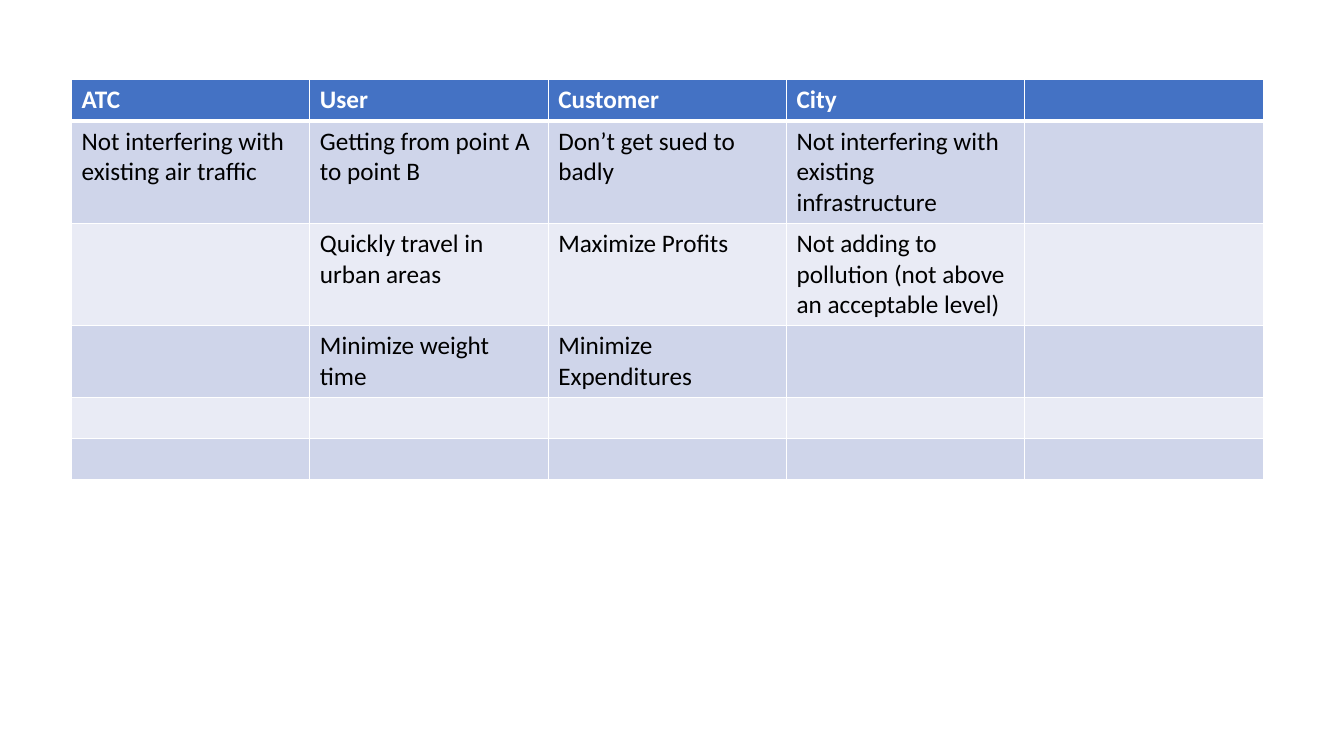
from lxml import etree
from pptx import Presentation
from pptx.dml.color import RGBColor
from pptx.oxml.ns import qn
from pptx.util import Inches, Pt

THEME = {
    "font": "Calibri",
    "size": Pt(18),
    "header_fill": "4472C4",
    "band_fills": ("CFD5EA", "E9EBF5"),
    "header_text": "FFFFFF",
    "body_text": "000000",
    "border": "FFFFFF",
}
BLANK_LAYOUT = 6

STAKEHOLDER_NEEDS = [
    ["ATC", "User", "Customer", "City", ""],
    ["Not interfering with existing air traffic", "Getting from point A to point B ",
     "Don’t get sued to badly", "Not interfering with existing infrastructure", ""],
    ["", "Quickly travel in urban areas", "Maximize Profits",
     "Not adding to pollution (not above an acceptable level)", ""],
    ["", "Minimize weight time", "Minimize Expenditures", "", ""],
    [""] * 5,
    [""] * 5,
]


def set_borders(cell, widths):
    """Draw the cell's edges, given as side letter and width in points."""
    properties = cell._tc.get_or_add_tcPr()
    for position, (side, width) in enumerate(widths.items()):
        line = etree.Element(qn(f"a:ln{side}"), w=str(Pt(width)))
        fill = etree.SubElement(line, qn("a:solidFill"))
        etree.SubElement(fill, qn("a:srgbClr"), val=THEME["border"])
        properties.insert(position, line)


# Slide
presentation = Presentation()
presentation.slide_width = Inches(13.33)
presentation.slide_height = Inches(7.5)
slide = presentation.slides.add_slide(presentation.slide_layouts[BLANK_LAYOUT])

# Table grid
row_count, column_count = len(STAKEHOLDER_NEEDS), len(STAKEHOLDER_NEEDS[0])
table_shape = slide.shapes.add_table(
    row_count, column_count, Inches(0.71), Inches(0.79), Inches(11.82), Inches(3.92))
table = table_shape.table
for row in table.rows:
    row.height = Inches(0.41)
table_shape.height = Inches(3.92)

# Cell text, fills and borders
for row_index, needs in enumerate(STAKEHOLDER_NEEDS):
    is_header = row_index == 0
    fill_color = THEME["header_fill"] if is_header else THEME["band_fills"][(row_index - 1) % 2]
    text_color = THEME["header_text"] if is_header else THEME["body_text"]
    for column_index, need in enumerate(needs):
        cell = table.cell(row_index, column_index)
        cell.fill.solid()
        cell.fill.fore_color.rgb = RGBColor.from_string(fill_color)
        set_borders(cell, {"L": 1, "R": 1, "T": 3 if row_index == 1 else 1,
                           "B": 3 if is_header else 1})
        cell.text_frame.text = need
        for run in cell.text_frame.paragraphs[0].runs:
            run.font.name = THEME["font"]
            run.font.size = THEME["size"]
            run.font.bold = is_header
            run.font.color.rgb = RGBColor.from_string(text_color)

presentation.save("out.pptx")
